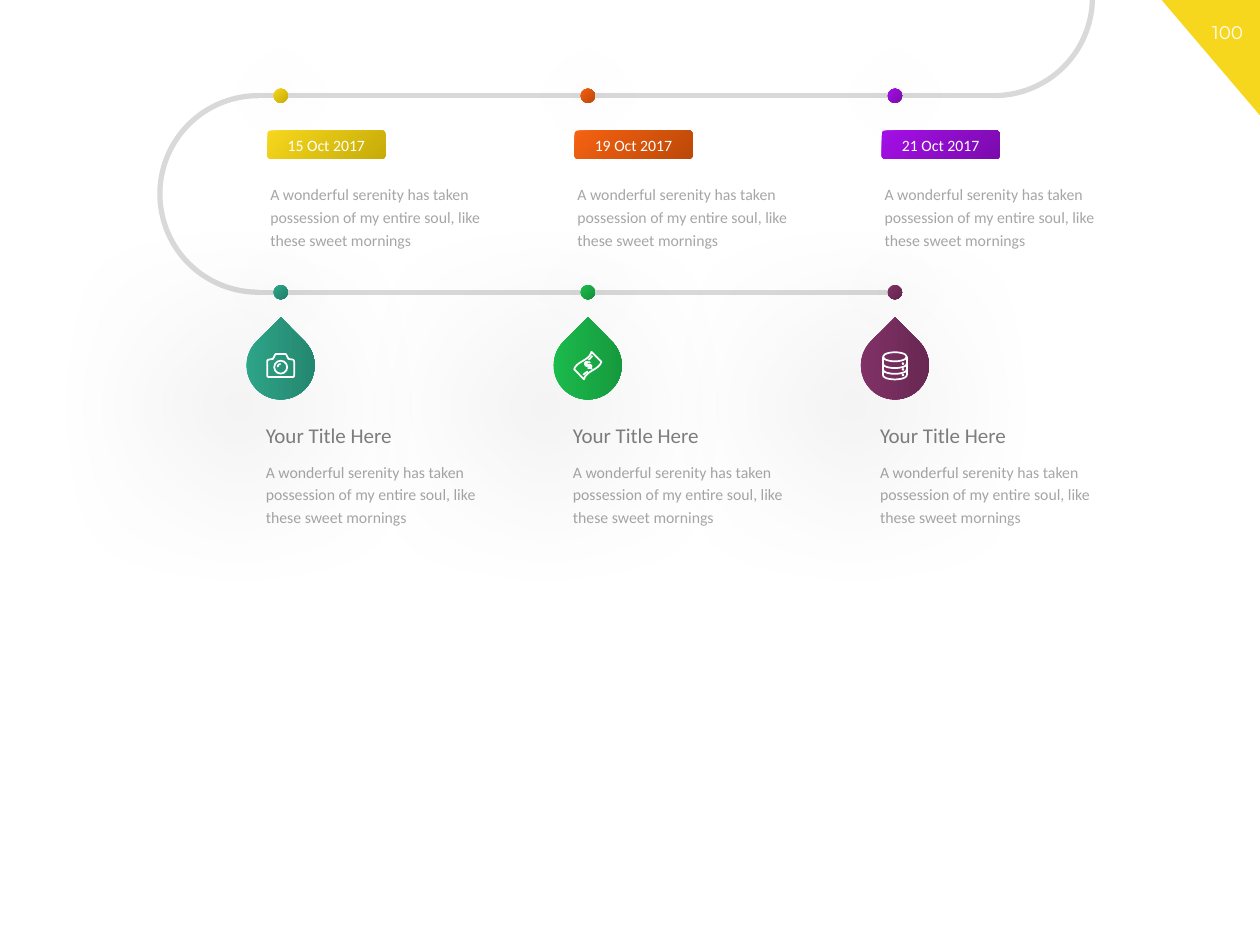
"""Build a winding timeline slide with dated milestones and icon drops."""
from lxml.etree import SubElement
from pptx import Presentation
from pptx.dml.color import RGBColor
from pptx.enum.shapes import MSO_CONNECTOR, MSO_SHAPE
from pptx.enum.text import MSO_ANCHOR, MSO_AUTO_SIZE, PP_ALIGN
from pptx.oxml.ns import qn
from pptx.util import Pt

WHITE = RGBColor(0xFF, 0xFF, 0xFF)
TRACK = RGBColor(0xD9, 0xD9, 0xD9)
BODY_GRAY = RGBColor(0xA6, 0xA6, 0xA6)
TITLE_GRAY = RGBColor(0x80, 0x80, 0x80)
BLACK = RGBColor(0, 0, 0)
YELLOW = RGBColor(0xF6, 0xD7, 0x1E), RGBColor(0xC7, 0xAC, 0x08)
ORANGE = RGBColor(0xF5, 0x62, 0x11), RGBColor(0xBD, 0x48, 0x08)
PURPLE = RGBColor(0xA4, 0x0F, 0xE7), RGBColor(0x7B, 0x0B, 0xAD)
TEAL = RGBColor(0x2F, 0xAB, 0x8D), RGBColor(0x23, 0x80, 0x6A)
GREEN = RGBColor(0x1C, 0xC2, 0x4F), RGBColor(0x15, 0x92, 0x3B)
PLUM = RGBColor(0x85, 0x33, 0x6A), RGBColor(0x64, 0x26, 0x4F)

PAGE_NUMBER = "100"
BODY = "A wonderful serenity has taken possession of my entire soul, like these sweet mornings"
TITLE = "Your Title Here"

CAMERA = {
    "ovals": [(0, 1, 3.7, 3.7)],
    "strokes": [
        [(-6.7, -3.3), (-4.4, -3.7), (-3.4, -5.7), (-3, -6.5, -2.8, -6.5, -2.4, -6.5), (2.4, -6.5),
         (2.8, -6.5, 3, -6.5, 3.4, -5.7), (4.4, -3.7), (6.7, -3.3), (7.5, -3.1, 7.7, -2.8, 7.7, -2),
         (7.7, 5.6), (7.7, 6.4, 7.4, 6.7, 6.6, 6.7), (-6.6, 6.7), (-7.4, 6.7, -7.7, 6.4, -7.7, 5.6),
         (-7.7, -2), (-7.7, -2.8, -7.5, -3.1, -6.7, -3.3)],
        [(-1.7, 1), (-1.7, 0, -1, -0.7, 0, -0.7)],
    ],
}
BANKNOTE = {
    "ovals": [],
    "strokes": [
        [(-2.2, 8), (-7.8, 2.2), (-6, -2.6, 0.6, -2.4, 2.1, -7.7), (7.8, -2),
         (6.2, 2.8, -0.7, 2.8, -2.2, 8)],
        [(1.4, -1.9), (0.4, -1.2, -0.4, -2.5, -1.3, -1.6), (-2.2, -0.4, -0.8, 1, 0.1, 0.1),
         (0.8, -0.8, 2.6, -0.1, 1.9, 1), (1.2, 1.9, 0.6, 1.3, -0.1, 1.8)],
        [(-1.7, -1.9), (2.3, 2.1)],
        [(-2.5, 5.5), (-1.8, 4.5, -1, 4, 0.1, 3.6)],
        [(0.3, -3.2), (1.3, -3.8, 1.9, -4.5, 2.6, -5.5)],
    ],
}
RING_TOPS = (-1, 2.3, 5.5)
DATABASE = {
    "ovals": [(0, -4.9, 6.8, 2.6)] + [(4.6, top, 0.2, 0.2) for top in RING_TOPS],
    "strokes": [[(side, -4.9), (side, 5.5)] for side in (-6.8, 6.8)]
    + [[(-6.8, top), (-6.8, top + 3.4, 6.8, top + 3.4, 6.8, top)] for top in RING_TOPS],
}

DATES = [("15 Oct 2017", YELLOW), ("19 Oct 2017", ORANGE), ("21 Oct 2017", PURPLE)]
DROPS = [(CAMERA, TEAL), (BANKNOTE, GREEN), (DATABASE, PLUM)]

FIRST_COLUMN, COLUMN_PITCH = 160.4, 175.5
UPPER, LOWER = 54.7, 167
BEND = LOWER - UPPER
DOT, DROP, DROP_MIDDLE = 8.2, 38.9, 208.8
CURVE_STEPS = 12


def add_text(frame, text, size=9, color=BODY_GRAY, font="Calibri", spacing=1.0,
             align=PP_ALIGN.LEFT, auto_size=MSO_AUTO_SIZE.NONE):
    frame.word_wrap = True
    frame.auto_size = auto_size
    paragraph = frame.paragraphs[0]
    paragraph.alignment = align
    paragraph.line_spacing = spacing
    run = paragraph.add_run()
    run.text = text
    run.font.size, run.font.name, run.font.color.rgb = Pt(size), font, color


def add_box(slide, left, top, width, height, text, **text_format):
    box = slide.shapes.add_textbox(Pt(left), Pt(top), Pt(width), Pt(height))
    add_text(box.text_frame, text, **text_format)


def add_preset(slide, kind, left, top, width, height, fill=None, line=None, weight=1.0, flips=()):
    shape = slide.shapes.add_shape(kind, Pt(left), Pt(top), Pt(width), Pt(height))
    paint(shape, fill, line, weight)
    for flip in flips:
        shape._element.spPr.xfrm.set(flip, "1")
    return shape


def paint(shape, fill, line, weight):
    shape.shadow.inherit = False
    if fill is None:
        shape.fill.background()
    elif isinstance(fill, RGBColor):
        shape.fill.solid()
        shape.fill.fore_color.rgb = fill
    else:
        shape.fill.gradient()
        shape.fill.gradient_angle = 315
        for stop, color in zip(shape.fill.gradient_stops, fill):
            stop.color.rgb = color
    if line is None:
        shape.line.fill.background()
    else:
        shape.line.color.rgb = line
        shape.line.width = Pt(weight)


def add_shadow(shape, blur, distance=0, direction=0):
    effects = shape._element.spPr.find(qn("a:effectLst"))
    shadow = SubElement(effects, qn("a:outerShdw"), blurRad=str(Pt(blur)), dist=str(Pt(distance)),
                        dir=str(direction * 60000), algn="ctr", rotWithShape="0")
    color = SubElement(shadow, qn("a:srgbClr"), val=str(BLACK))
    SubElement(color, qn("a:alpha"), val="40000")


def add_track(slide, right, y):
    track = slide.shapes.add_connector(MSO_CONNECTOR.STRAIGHT, Pt(147.6), Pt(y), Pt(right), Pt(y))
    track.line.color.rgb, track.line.width = TRACK, Pt(3)
    SubElement(track._element.spPr, qn("a:effectLst"))


def add_bend(slide, left, top, end, flips):
    bend = add_preset(slide, MSO_SHAPE.ARC, left, top, BEND, BEND, line=TRACK, weight=3, flips=flips)
    bend.adjustments[0], bend.adjustments[1] = 162, end


def add_dot(slide, center, y, colors):
    dot = add_preset(slide, MSO_SHAPE.OVAL, center - DOT / 2, y - DOT / 2, DOT, DOT, fill=colors)
    add_shadow(dot, 48)


def trace(stroke):
    points = [stroke[0]]
    for segment in stroke[1:]:
        if len(segment) == 2:
            points.append(segment)
            continue
        controls = [points[-1], segment[:2], segment[2:4], segment[4:]]
        for step in range(1, CURVE_STEPS + 1):
            t = step / CURVE_STEPS
            weights = ((1 - t) ** 3, 3 * t * (1 - t) ** 2, 3 * t * t * (1 - t), t ** 3)
            points.append(tuple(sum(w * c[axis] for w, c in zip(weights, controls))
                                for axis in (0, 1)))
    return points


def add_icon(slide, icon, center, middle):
    for x, y, radius_x, radius_y in icon["ovals"]:
        add_preset(slide, MSO_SHAPE.OVAL, center + x - radius_x, middle + y - radius_y,
                   2 * radius_x, 2 * radius_y, line=WHITE)
    for stroke in icon["strokes"]:
        points = [(Pt(center + x), Pt(middle + y)) for x, y in trace(stroke)]
        builder = slide.shapes.build_freeform(*points[0])
        builder.add_line_segments(points[1:], close=False)
        paint(builder.convert_to_shape(), None, WHITE, 1)


def add_date(slide, center, date, colors):
    add_dot(slide, center, UPPER, colors)
    add_box(slide, center - 13, 100, 149, 46.8, BODY, spacing=1.2,
            auto_size=MSO_AUTO_SIZE.SHAPE_TO_FIT_TEXT)
    label = add_preset(slide, MSO_SHAPE.ROUNDED_RECTANGLE, center - 7.6, 74.6, 67.4, 16.2, fill=colors)
    label.adjustments[0] = 0.12
    label.text_frame.vertical_anchor = MSO_ANCHOR.MIDDLE
    add_text(label.text_frame, date, color=WHITE, align=PP_ALIGN.CENTER)


def add_drop(slide, center, icon, colors):
    add_dot(slide, center, LOWER, colors)
    add_box(slide, center - 15.6, 258.5, 143, 46.8, BODY, spacing=1.2,
            auto_size=MSO_AUTO_SIZE.SHAPE_TO_FIT_TEXT)
    add_box(slide, center - 15.6, 239.8, 108.7, 28, TITLE, size=12, color=TITLE_GRAY, spacing=0.9)
    drop = add_preset(slide, MSO_SHAPE.TEAR, center - DROP / 2, DROP_MIDDLE - DROP / 2, DROP, DROP,
                      fill=colors)
    drop.rotation = 315.3
    add_shadow(drop, 100, 34, 135)
    add_icon(slide, icon, center, DROP_MIDDLE)


def main():
    presentation = Presentation()
    presentation.slide_width, presentation.slide_height = Pt(720), Pt(540)
    slide = presentation.slides.add_slide(presentation.slide_layouts[6])
    add_preset(slide, MSO_SHAPE.RIGHT_TRIANGLE, 663.8, 0, 56.2, 66, fill=YELLOW[0],
               flips=("flipH", "flipV"))
    add_box(slide, 683, 8.6, 37, 20, PAGE_NUMBER, size=10.5, color=WHITE, font="Montserrat",
            align=PP_ALIGN.CENTER, auto_size=MSO_AUTO_SIZE.SHAPE_TO_FIT_TEXT)
    add_track(slide, 515.5, LOWER)
    add_bend(slide, 91.4, UPPER, 53.95, ("flipH", "flipV"))
    add_track(slide, 568.8, UPPER)
    add_bend(slide, 512, UPPER - BEND, 0.35, ("flipV",))
    centers = [FIRST_COLUMN + column * COLUMN_PITCH for column in range(len(DATES))]
    for center, (date, colors) in zip(centers, DATES):
        add_date(slide, center, date, colors)
    for center, (icon, colors) in zip(centers, DROPS):
        add_drop(slide, center, icon, colors)
    presentation.save("out.pptx")


if __name__ == "__main__":
    main()
